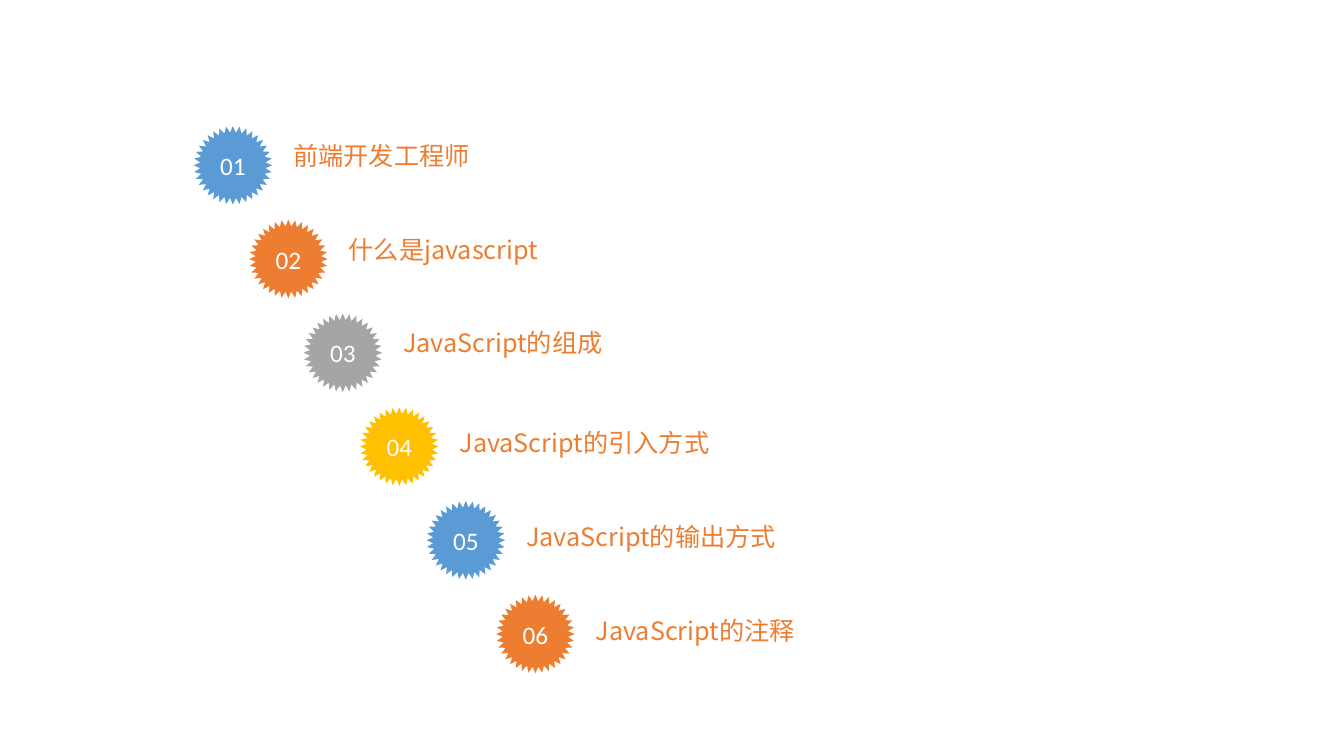
"""Build an agenda slide of six numbered badges stepping down to the right."""
import math

import pptx
import pptx.dml.color
import pptx.enum.text
import pptx.oxml.ns
import pptx.util
from lxml import etree

Inches = pptx.util.Inches
RGBColor = pptx.dml.color.RGBColor
PP_ALIGN = pptx.enum.text.PP_ALIGN
MSO_ANCHOR = pptx.enum.text.MSO_ANCHOR

BLUE = RGBColor(0x5B, 0x9B, 0xD5)
ORANGE = RGBColor(0xED, 0x7D, 0x31)
GRAY = RGBColor(0xA5, 0xA5, 0xA5)
GOLD = RGBColor(0xFF, 0xC0, 0x00)
WHITE = RGBColor(0xFF, 0xFF, 0xFF)
BADGE_COLORS = [BLUE, ORANGE, GRAY, GOLD]

# topic, badge left, label drop below badge top
TOPICS = [
    ("前端开发工程师", 1.92, 0.14),
    ("什么是javascript", 2.47, 0.14),
    ("JavaScript的组成", 3.01, 0.14),
    ("JavaScript的引入方式", 3.57, 0.2),
    ("JavaScript的输出方式", 4.23, 0.2),
    ("JavaScript的注释", 4.92, 0.2),
]
FIRST_TOP, ROW_STEP = 1.25, 0.93
OUTER_RADIUS, INNER_RADIUS, SPIKES = 0.39, 0.325, 36
LABEL_OFFSET, LABEL_WIDTH, LABEL_HEIGHT = 0.89, 7.44, 0.52


def write_text(shape, text, *, font, color, size=18, align=PP_ALIGN.LEFT,
               anchor=MSO_ANCHOR.TOP, side_inset=0.0):
    """Put one formatted line of text into a shape."""
    frame = shape.text_frame
    frame.word_wrap = True
    frame.vertical_anchor = anchor
    frame.margin_top = frame.margin_bottom = 0
    frame.margin_left = frame.margin_right = Inches(side_inset)
    paragraph = frame.paragraphs[0]
    paragraph.alignment = align
    run = paragraph.add_run()
    run.text = text
    run.font.name = font
    run.font.size = pptx.util.Pt(size)
    run.font.color.rgb = color
    east_asian = etree.SubElement(run.font._element, pptx.oxml.ns.qn("a:ea"))
    east_asian.set("typeface", font)


def add_badge(slide, left, top, color):
    """Draw a round badge with a spiked rim."""
    points = []
    for step in range(2 * SPIKES):
        radius = INNER_RADIUS if step % 2 else OUTER_RADIUS
        angle = math.pi * step / SPIKES
        points.append((Inches(left + OUTER_RADIUS + radius * math.sin(angle)),
                       Inches(top + OUTER_RADIUS - radius * math.cos(angle))))
    outline = slide.shapes.build_freeform(*points[0])
    outline.add_line_segments(points[1:], close=True)
    badge = outline.convert_to_shape()
    badge.shadow.inherit = False
    badge.fill.solid()
    badge.fill.fore_color.rgb = color
    badge.line.fill.background()
    return badge


def main():
    """Lay out the topics and save the slide."""
    deck = pptx.Presentation()
    deck.slide_width, deck.slide_height = Inches(13.33), Inches(7.5)
    slide = deck.slides.add_slide(deck.slide_layouts[6])
    for row, (topic, left, drop) in enumerate(TOPICS):
        top = FIRST_TOP + row * ROW_STEP
        label = slide.shapes.add_textbox(
            Inches(left + LABEL_OFFSET), Inches(top + drop),
            Inches(LABEL_WIDTH), Inches(LABEL_HEIGHT))
        write_text(label, topic, font="Noto Sans CJK SC", color=ORANGE,
                   side_inset=0.1)
        badge = add_badge(slide, left, top,
                          BADGE_COLORS[row % len(BADGE_COLORS)])
        write_text(badge, f"{row + 1:02d}", font="Calibri", color=WHITE,
                   align=PP_ALIGN.CENTER, anchor=MSO_ANCHOR.MIDDLE)
    deck.save("out.pptx")


if __name__ == "__main__":
    main()
